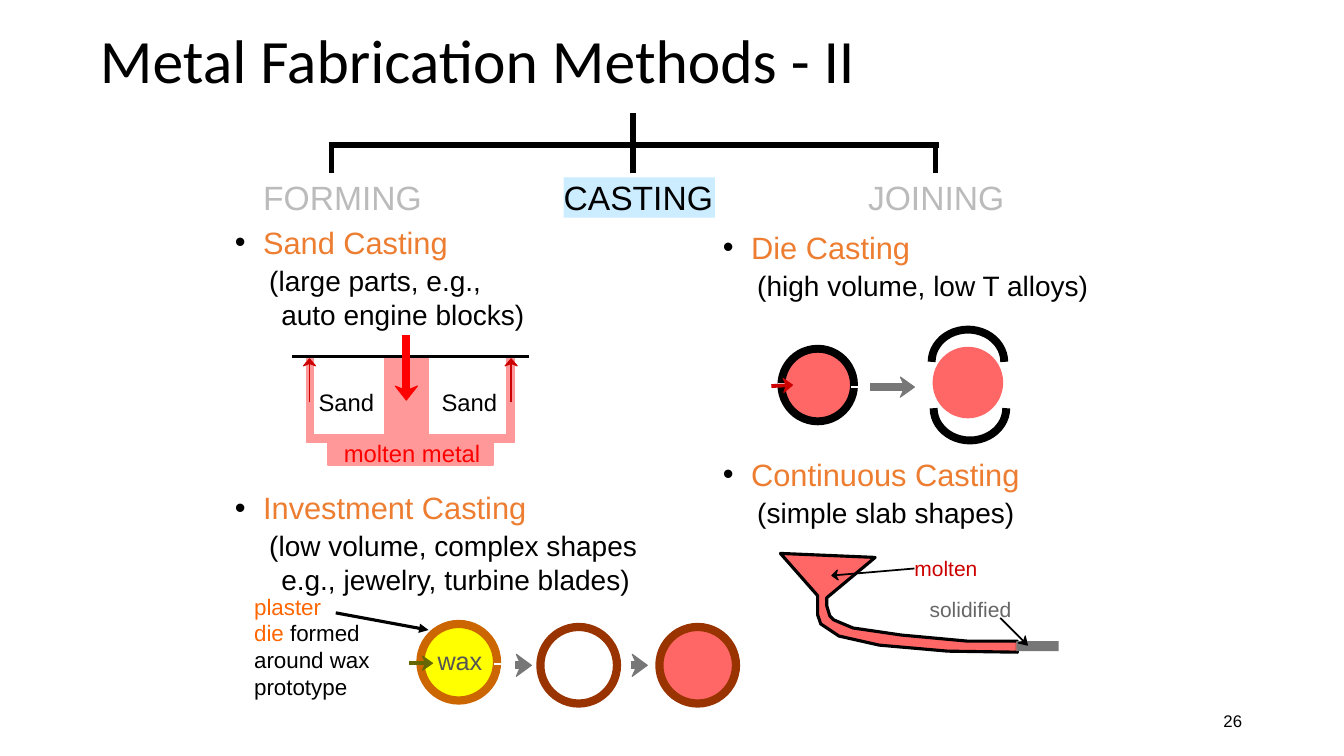
import math

import pptx
import pptx.dml.color
import pptx.enum.shapes
import pptx.enum.text
import pptx.oxml
import pptx.oxml.ns
import pptx.util

SHAPE = pptx.enum.shapes.MSO_SHAPE
ANCHOR = pptx.enum.text.MSO_ANCHOR
ALIGN = pptx.enum.text.PP_ALIGN
BLACK, WHITE, GREY, ORANGE = "000000", "FFFFFF", "777777", "ED7D31"
MELT, SAND_MELT, RED, BROWN = "FF6666", "FF9999", "CC0000", "993300"
NAMESPACE = pptx.oxml.ns.nsdecls("a")


def length(inches):
    return pptx.util.Cm(2.54 * inches)


def colour(value):
    return pptx.dml.color.RGBColor.from_string(value)


def add_xml(parent, markup):
    parent.append(pptx.oxml.parse_xml(markup))


class CastingSlide:
    font_name = "Arial"

    def __init__(self, presentation):
        self.slide = presentation.slides.add_slide(presentation.slide_layouts[4])
        self.shapes = self.slide.shapes

    def place(self, shape, left, top, width, height):
        shape.left, shape.top = length(left), length(top)
        shape.width, shape.height = length(width), length(height)

    def format_font(self, font, size, value, name=None):
        font.name = name or self.font_name
        font.size = pptx.util.Pt(size)
        font.bold = False
        font.color.rgb = colour(value)

    def clear_margins(self, frame):
        frame.margin_left = frame.margin_right = 0
        frame.margin_top = frame.margin_bottom = 0

    def title(self, text):
        shape = self.shapes.title
        self.place(shape, 0.89, -0.09, 11.5, 1.45)
        shape.text_frame.text = text
        shape.text_frame.vertical_anchor = ANCHOR.MIDDLE
        paragraph = shape.text_frame.paragraphs[0]
        paragraph.alignment = ALIGN.LEFT
        paragraph.line_spacing = 0.9
        self.format_font(paragraph.runs[0].font, 44, BLACK, "Calibri")

    def method_list(self, index, left, top, width, lines):
        shape = self.slide.placeholders[index]
        self.place(shape, left, top, width, 0.4 + 0.34 * (len(lines) - 1))
        frame = shape.text_frame
        frame.text = "\n".join(lines)
        frame.auto_size = pptx.enum.text.MSO_AUTO_SIZE.NONE
        frame.vertical_anchor = ANCHOR.TOP
        self.clear_margins(frame)
        levels = zip(frame.paragraphs, (0.28, 0.34, 0.46), (0, 2, 0))
        for number, (paragraph, indent, space) in enumerate(levels):
            properties = paragraph._p.get_or_add_pPr()
            properties.set("marL", str(length(indent)))
            properties.set("indent", str(0 if number else -length(indent)))
            if number:
                add_xml(properties, f"<a:buNone {NAMESPACE}/>")
            else:
                add_xml(properties, f'<a:buClr {NAMESPACE}><a:srgbClr val="{BLACK}"/></a:buClr>')
                add_xml(properties, f'<a:buFont {NAMESPACE} typeface="Arial"/>')
                add_xml(properties, f'<a:buChar {NAMESPACE} char="•"/>')
            paragraph.space_before = pptx.util.Pt(space)
            paragraph.alignment = ALIGN.LEFT
            style = (20, BLACK) if number else (22, ORANGE)
            self.format_font(paragraph.runs[0].font, *style)

    def label(self, text, left, top, width, height, size, value, fill=None):
        shape = self.shapes.add_textbox(*map(length, (left, top, width, height)))
        frame = shape.text_frame
        frame.word_wrap = False
        self.clear_margins(frame)
        frame.text = text
        for paragraph in frame.paragraphs:
            self.format_font(paragraph.runs[0].font, size, value)
        if fill:
            shape.fill.solid()
            shape.fill.fore_color.rgb = colour(fill)
        return shape

    def paint(self, shape, fill, line, weight):
        shape.shadow.inherit = False
        if fill:
            shape.fill.solid()
            shape.fill.fore_color.rgb = colour(fill)
        else:
            shape.fill.background()
        if line:
            shape.line.color.rgb = colour(line)
            shape.line.width = pptx.util.Pt(weight)
        else:
            shape.line.fill.background()

    def preset(self, kind, left, top, width, height, fill=None, line=None, weight=0):
        shape = self.shapes.add_shape(kind, *map(length, (left, top, width, height)))
        self.paint(shape, fill, line, weight)
        return shape

    def outline(self, points, fill, line, weight):
        corners = [(length(x), length(y)) for x, y in points]
        builder = self.shapes.build_freeform(*corners[0], scale=1.0)
        builder.add_line_segments(corners[1:], close=True)
        self.paint(builder.convert_to_shape(), fill, line, weight)

    def line(self, start, end, value, weight, head=False):
        connector = self.shapes.add_connector(
            pptx.enum.shapes.MSO_CONNECTOR.STRAIGHT, *map(length, (*start, *end)))
        connector.line.color.rgb = colour(value)
        connector.line.width = pptx.util.Pt(weight)
        if head:
            add_xml(connector.line._get_or_add_ln(), f'<a:tailEnd {NAMESPACE} type="triangle"/>')
        add_xml(connector._element.spPr, f"<a:effectLst {NAMESPACE}/>")

    def arrow(self, start, tip, value, weight, depth, half_width):
        angle = math.atan2(tip[1] - start[1], tip[0] - start[0])
        cosine, sine = math.cos(angle), math.sin(angle)

        def point(back, side):
            return (tip[0] - back * cosine - side * sine,
                    tip[1] - back * sine + side * cosine)

        notch = point(0.67 * depth, 0)
        self.outline([tip, point(depth, half_width), notch, point(depth, -half_width)],
                     value, value, 0.75)
        self.line(start, notch, value, weight)

    def half_die(self, left, top, start_angle, end_angle):
        shape = self.preset(SHAPE.ARC, left, top, 0.72, 0.64, None, BLACK, 5.63)
        shape.adjustments[0] = start_angle * 0.6
        shape.adjustments[1] = end_angle * 0.6


def draw_tree(page):
    page.line((6.28, 1.72), (6.28, 1.12), BLACK, 4)
    page.line((3.26, 1.44), (9.31, 1.44), BLACK, 4)
    for x in (3.29, 9.28):
        page.line((x, 1.72), (x, 1.44), BLACK, 4)
    page.label("FORMING", 2.61, 1.76, 1.59, 0.4, 24, "BBBBBB")
    page.label("CASTING", 5.59, 1.76, 1.5, 0.4, 24, BLACK, "CCECFF")
    page.label("JOINING", 8.61, 1.76, 1.36, 0.4, 24, "BBBBBB")


def draw_sand_casting(page):
    channel = [(3.11, 4.32), (3.11, 3.54), (3.04, 3.54), (3.04, 4.39), (3.25, 4.39), (3.25, 4.61)]
    mirrored_channel = [(8.14 - x, y) for x, y in reversed(channel)]
    sprue = [(4.25, 4.32), (4.25, 3.54), (3.82, 3.54), (3.82, 4.32)]
    page.outline(channel + mirrored_channel + sprue, SAND_MELT, SAND_MELT, 1.38)
    for x in (3.16, 4.38):
        page.label("Sand", x, 3.85, 0.56, 0.29, 17, BLACK)
    page.label("molten metal", 3.41, 4.35, 1.37, 0.29, 17, "FF0000")
    for x in (3.07, 5.07):
        page.arrow((x, 3.99), (x, 3.56), RED, 1.38, 0.07, 0.06)
    page.line((2.9, 3.54), (5.25, 3.54), BLACK, 2.25)
    page.arrow((4.03, 3.32), (4.03, 3.97), "FF0000", 5.75, 0.14, 0.11)


def draw_investment_casting(page):
    note = page.label("plaster\ndie formed\naround wax\nprototype", 2.52, 5.88, 1.25, 1.07, 16, BLACK)
    first, second = note.text_frame.paragraphs[:2]
    second.runs[0].text = "die "
    second.add_run().text = "formed"
    page.format_font(second.runs[1].font, 16, BLACK)
    for paragraph in (first, second):
        paragraph.runs[0].font.color.rgb = colour("FF6600")
    page.line((3.33, 6.08), (4.25, 6.25), BLACK, 2.25, head=True)
    for left, top, fill, line in ((4.17, 6.19, "FFFF00", "CC6600"),
                                  (5.36, 6.22, None, BROWN), (6.54, 6.22, MELT, BROWN)):
        page.preset(SHAPE.OVAL, left, top, 0.76, 0.76, fill, line, 5.88)
    page.line((4.14, 6.58), (4.22, 6.58), WHITE, 3)
    page.line((4.9, 6.59), (4.98, 6.59), WHITE, 1.5)
    page.arrow((4.06, 6.58), (4.29, 6.58), "666600", 3, 0.1, 0.07)
    for x in (5.11, 6.26):
        page.arrow((x, 6.6), (x + 0.16, 6.6), GREY, 5.88, 0.15, 0.11)
    page.label("wax", 4.34, 6.4, 0.6, 0.3, 18, "555555")


def draw_die_casting(page):
    page.preset(SHAPE.OVAL, 7.75, 3.46, 0.72, 0.72, MELT, BLACK, 5.63)
    page.line((7.72, 3.82), (7.79, 3.82), WHITE, 2.75)
    page.line((8.44, 3.84), (8.51, 3.84), WHITE, 1.38)
    page.arrow((7.65, 3.83), (7.86, 3.82), RED, 2.75, 0.09, 0.07)
    page.arrow((8.63, 3.84), (9.07, 3.84), GREY, 5.63, 0.14, 0.1)
    page.half_die(9.24, 3.27, 180, 0)
    page.half_die(9.26, 3.73, 0, 180)
    page.preset(SHAPE.OVAL, 9.25, 3.44, 0.7, 0.71, MELT)


def draw_continuous_casting(page):
    funnel = [(7.74, 5.49), (8.11, 5.91), (8.11, 6.1), (8.14, 6.19), (8.32, 6.31), (8.72, 6.4),
              (9.4, 6.46), (10.09, 6.47), (10.09, 6.36), (9.59, 6.36), (8.94, 6.3), (8.46, 6.23),
              (8.27, 6.15), (8.23, 6.11), (8.2, 6.01), (8.2, 5.93), (8.68, 5.53)]
    page.outline(funnel, MELT, BLACK, 2.25)
    page.line((10.09, 6.46), (10.09, 6.37), MELT, 1.25)
    page.arrow((9.07, 5.64), (8.25, 5.71), BLACK, 1.25, 0.06, 0.05)
    page.label("molten", 9.07, 5.51, 0.7, 0.25, 15, RED)
    page.label("solidified", 9.22, 5.92, 0.9, 0.25, 15, "666666")
    page.preset(SHAPE.RECTANGLE, 10.08, 6.36, 0.42, 0.1, GREY)
    page.arrow((9.92, 6.13), (10.19, 6.4), BLACK, 1.25, 0.08, 0.05)


def main():
    presentation = pptx.Presentation()
    presentation.slide_width, presentation.slide_height = length(13.33), length(7.5)
    page = CastingSlide(presentation)
    page.title("Metal Fabrication Methods - II")
    page.method_list(1, 2.33, 2.22, 3.2, ("Sand Casting", "(large parts, e.g.,", "auto engine blocks)"))
    page.method_list(2, 2.33, 4.85, 4.3, (
        "Investment Casting", "(low volume, complex shapes", "e.g., jewelry, turbine blades)"))
    page.method_list(3, 7.17, 2.27, 3.9, ("Die Casting", "(high volume, low T alloys)"))
    page.method_list(4, 7.17, 4.52, 3.3, ("Continuous Casting", "(simple slab shapes)"))
    draw_tree(page)
    draw_sand_casting(page)
    draw_investment_casting(page)
    draw_die_casting(page)
    draw_continuous_casting(page)
    number = page.label("26", 9.42, 6.95, 2.9, 0.4, 12, BLACK)
    number.text_frame.word_wrap = True
    number.text_frame.vertical_anchor = ANCHOR.MIDDLE
    number.text_frame.paragraphs[0].alignment = ALIGN.RIGHT
    presentation.save("out.pptx")


if __name__ == "__main__":
    main()
